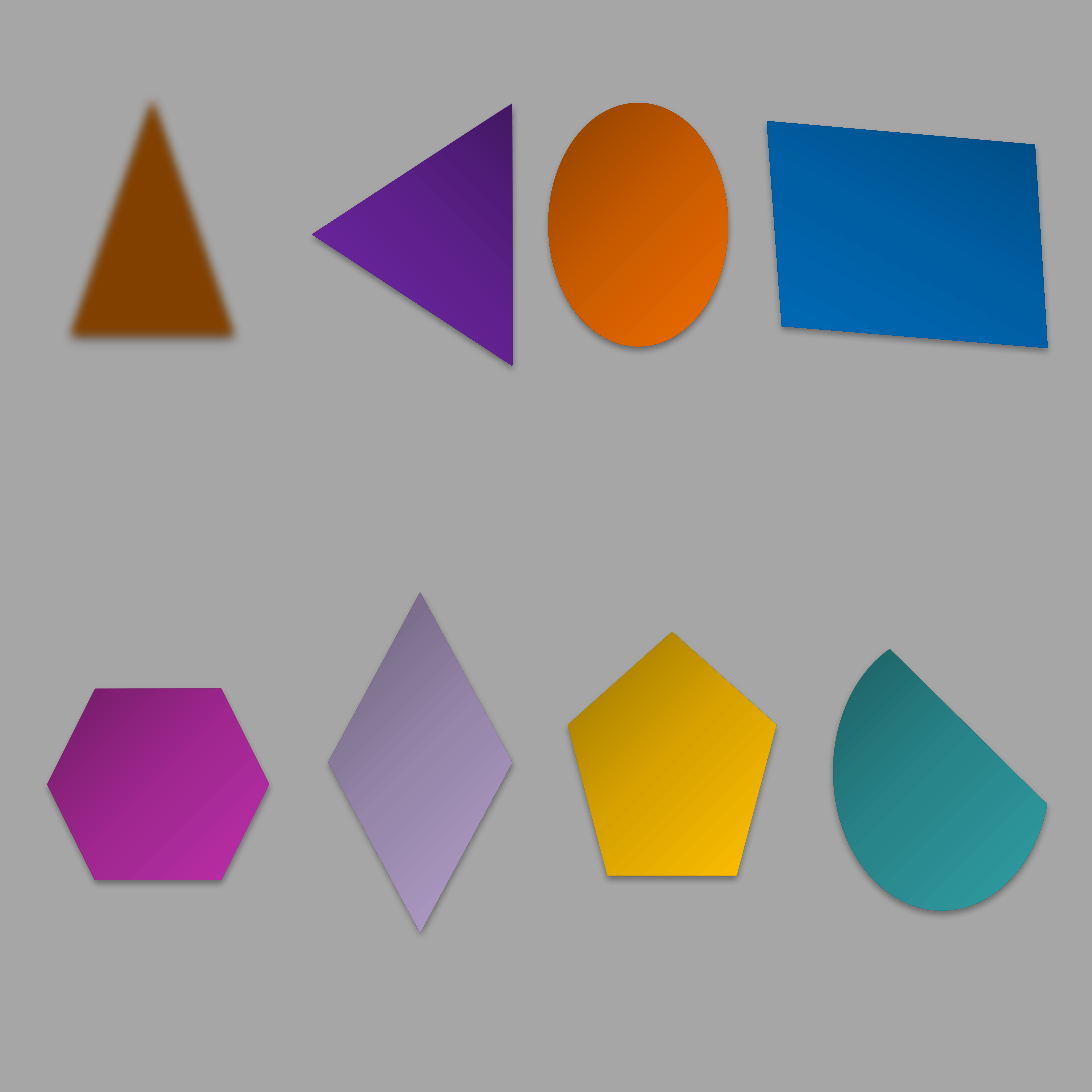
import copy
import math

from pptx import Presentation
from pptx import util as u
from pptx.dml import color
from pptx.enum import shapes
from pptx.oxml import ns, parse_xml

COLOURS = {
    "background": ["A6A6A6"],
    "triangle": ["824100"],
    "hexagon": ["701B65", "9F278F", "BC2EAA"],
    "diamond": ["6A5E78", "9686AA", "B39FCA"],
    "chord": ["1C5E61", "28858A", "2F9EA4"],
    "merge": ["431764", "5F218E", "7128A8"],
    "ellipse": ["8D4000", "C85B00", "EE6B00"],
    "pentagon": ["977200", "D7A200", "FFC000"],
    "quadrilateral": ["004272", "005EA2", "0070C0"],
}
SHADOW = (
    '<a:outerShdw blurRad="40000" dist="23000" dir="5400000" rotWithShape="0">'
    '<a:srgbClr val="000000"><a:alpha val="35000"/></a:srgbClr></a:outerShdw>'
)
SOFT_EDGE = '<a:softEdge rad="63500"/>'


def paint(fill, hexes):
    """Fill with one colour, or start a 45 degree gradient."""
    if len(hexes) == 1:
        fill.solid()
        fill.fore_color.rgb = color.RGBColor.from_string(hexes[0])
        return
    fill.gradient()
    fill.gradient_angle = 315


def style(shape, hexes, effects):
    """Apply the colours, no outline and the effects."""
    shape.line.fill.background()
    paint(shape.fill, hexes)
    properties = shape.element.spPr
    if len(hexes) > 1:
        stop_list = properties.find(".//" + ns.qn("a:gsLst"))
        stop_list.append(copy.deepcopy(stop_list[-1]))
        for index, stop in enumerate(shape.fill.gradient_stops):
            stop.position = index / (len(hexes) - 1)
            stop.color.rgb = color.RGBColor.from_string(hexes[index])
    properties.append(
        parse_xml(f'<a:effectLst {ns.nsdecls("a")}>{effects}</a:effectLst>'))


presentation = Presentation()
presentation.slide_width = presentation.slide_height = u.Cm(19.05)
slide = presentation.slides.add_slide(presentation.slide_layouts[6])
paint(slide.background.fill, COLOURS["background"])

# Preset shapes: name, kind, left, top, width, height (cm), format values
kind = shapes.MSO_SHAPE
presets = [
    ("triangle", kind.ISOSCELES_TRIANGLE, 0.96, 1.09, 3.4, 4.93, {}),
    ("hexagon", kind.HEXAGON, 0.83, 12.02, 3.86, 3.33, {}),
    ("diamond", kind.DIAMOND, 5.73, 10.34, 3.2, 5.92, {}),
    ("chord", kind.CHORD, 14.54, 11.03, 3.78, 4.85, {}),
    ("merge", kind.FLOWCHART_MERGE, 4.91, 2.35, 4.57, 3.48, {"rotation": 90}),
    ("ellipse", kind.OVAL, 9.57, 1.8, 3.13, 4.24, {}),
    ("pentagon", kind.REGULAR_PENTAGON, 9.91, 11.03, 3.63, 4.24, {}),
]
for name, preset, left, top, width, height, values in presets:
    shape = slide.shapes.add_shape(
        preset, u.Cm(left), u.Cm(top), u.Cm(width), u.Cm(height))
    for attribute, value in values.items():
        setattr(shape, attribute, value)
    if name == "chord":
        shape.adjustments[0], shape.adjustments[1] = 10.56, 148.14
    effects = SHADOW + SOFT_EDGE if name == "triangle" else SHADOW
    style(shape, COLOURS[name], effects)

# Quadrilateral: corners are turned back about its centre, then the shape is rotated
rotation = 73.2
centre_x, centre_y = 15.85, 4.09
corners = [(13.39, 2.11), (18.06, 2.52), (18.28, 6.06), (13.65, 5.68)]
cosine, sine = math.cos(math.radians(rotation)), math.sin(math.radians(rotation))
points = []
for x, y in corners:
    across, down = x - centre_x, y - centre_y
    points.append((u.Cm(centre_x + across * cosine + down * sine),
                   u.Cm(centre_y - across * sine + down * cosine)))
builder = slide.shapes.build_freeform(*points[0])
builder.add_line_segments(points[1:], close=True)
quadrilateral = builder.convert_to_shape()
quadrilateral.rotation = rotation
style(quadrilateral, COLOURS["quadrilateral"], SHADOW)

presentation.save("out.pptx")
